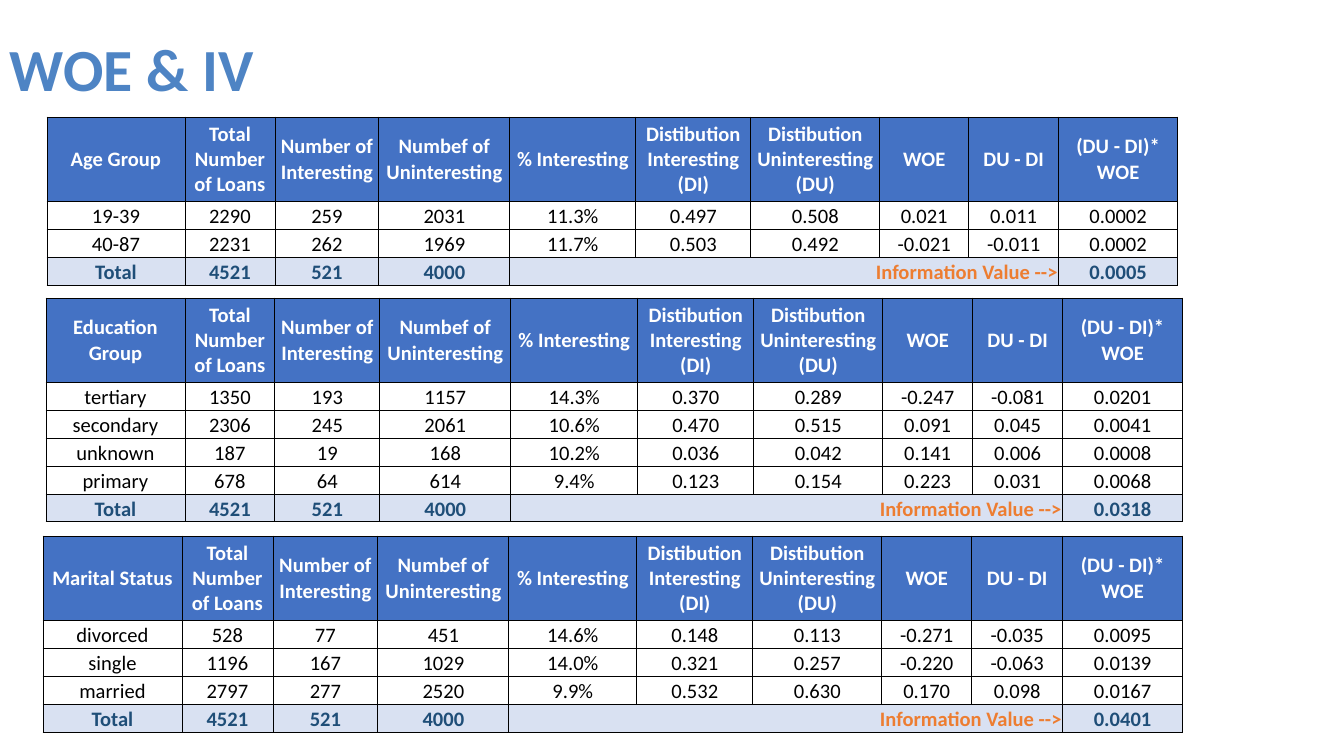
from itertools import accumulate

from lxml.etree import SubElement
from pptx import Presentation
from pptx.dml.color import RGBColor
from pptx.enum.text import MSO_ANCHOR, MSO_AUTO_SIZE, PP_ALIGN
from pptx.oxml.ns import qn
from pptx.util import Emu, Pt

FONT = "Calibri"
COLORS = {
    "title": "4E84C4",
    "header": "4472C4",
    "header_text": "FFFFFF",
    "value_text": "000000",
    "total": "D9E1F2",
    "total_text": "1F4E78",
    "information_value": "ED7D31",
    "border": "000000",
}
MEASURES = [
    "Total Number of Loans", "Number of Interesting", "Numbef of Uninteresting",
    "% Interesting", "Distibution Interesting (DI)",
    "Distibution Uninteresting (DU)", "WOE", "DU - DI", "(DU - DI)* WOE",
]
COLUMN_SHARES = [139, 90, 105, 131, 127, 116, 129, 90, 90, 120]
HEADER_HEIGHT, ROW_HEIGHT = 84, 28
TOTALS = ["Total", "4521", "521", "4000"]
FIRST_MERGED, LAST_MERGED = 4, 8

# grouping, left, top, width, rows, information value
GROUPINGS = [
    ("Age Group", 47, 117, 1131, [
        "19-39 2290 259 2031 11.3% 0.497 0.508 0.021 0.011 0.0002",
        "40-87 2231 262 1969 11.7% 0.503 0.492 -0.021 -0.011 0.0002",
    ], "0.0005"),
    ("Education Group", 46, 298, 1137, [
        "tertiary 1350 193 1157 14.3% 0.370 0.289 -0.247 -0.081 0.0201",
        "secondary 2306 245 2061 10.6% 0.470 0.515 0.091 0.045 0.0041",
        "unknown 187 19 168 10.2% 0.036 0.042 0.141 0.006 0.0008",
        "primary 678 64 614 9.4% 0.123 0.154 0.223 0.031 0.0068",
    ], "0.0318"),
    ("Marital Status", 43, 536, 1140, [
        "divorced 528 77 451 14.6% 0.148 0.113 -0.271 -0.035 0.0095",
        "single 1196 167 1029 14.0% 0.321 0.257 -0.220 -0.063 0.0139",
        "married 2797 277 2520 9.9% 0.532 0.630 0.170 0.098 0.0167",
    ], "0.0401"),
]


def px(length):
    return Emu(round(length * 914400 / 134.4))


def color(name):
    return RGBColor.from_string(COLORS[name])


def add_run(paragraph, text, size, color_name, bold):
    run = paragraph.add_run()
    run.text = text
    run.font.name = FONT
    run.font.size = Pt(size)
    run.font.bold = bold
    run.font.color.rgb = color(color_name)


def add_title(slide, text):
    title = slide.shapes.title
    title.left, title.top, title.width, title.height = px(0), px(32), px(1306), px(72)
    frame = title.text_frame
    frame.auto_size = MSO_AUTO_SIZE.NONE
    frame.vertical_anchor = MSO_ANCHOR.MIDDLE
    frame.margin_left = frame.margin_right = px(10)
    frame.margin_top = frame.margin_bottom = px(5)
    paragraph = frame.paragraphs[0]
    paragraph.alignment = PP_ALIGN.LEFT
    add_run(paragraph, text, 32, "title", True)


def add_borders(cell):
    properties = cell._tc.get_or_add_tcPr()
    for side in ("a:lnL", "a:lnR", "a:lnT", "a:lnB"):
        line = SubElement(properties, qn(side), w=str(Pt(0.5)))
        fill = SubElement(line, qn("a:solidFill"))
        SubElement(fill, qn("a:srgbClr"), val=COLORS["border"])


def format_cell(cell, fill=None, anchor=MSO_ANCHOR.BOTTOM):
    add_borders(cell)
    cell.margin_left = cell.margin_right = cell.margin_top = px(1)
    cell.margin_bottom = px(0)
    cell.vertical_anchor = anchor
    if fill:
        cell.fill.solid()
        cell.fill.fore_color.rgb = color(fill)
    else:
        cell.fill.background()


def write_cell(cell, text, color_name, bold=True, alignment=PP_ALIGN.CENTER):
    paragraph = cell.text_frame.paragraphs[0]
    paragraph.alignment = alignment
    add_run(paragraph, text, 11, color_name, bold)


def fill_header(table, grouping):
    for column, heading in enumerate([grouping] + MEASURES):
        cell = table.cell(0, column)
        format_cell(cell, "header", MSO_ANCHOR.MIDDLE)
        write_cell(cell, heading, "header_text")


def fill_total(table, row, information_value):
    for column in range(len(COLUMN_SHARES)):
        format_cell(table.cell(row, column), "total")
    for column, total in enumerate(TOTALS):
        write_cell(table.cell(row, column), total, "total_text")
    label = table.cell(row, FIRST_MERGED)
    label.merge(table.cell(row, LAST_MERGED))
    write_cell(label, "Information Value -->", "information_value",
               alignment=PP_ALIGN.RIGHT)
    write_cell(table.cell(row, LAST_MERGED + 1), information_value, "total_text")


def add_woe_table(slide, grouping, left, top, width, rows, information_value):
    heights = [HEADER_HEIGHT] + [ROW_HEIGHT] * (len(rows) + 1)
    table = slide.shapes.add_table(
        len(heights), len(COLUMN_SHARES),
        px(left), px(top), px(width), px(sum(heights))).table
    table.first_row = table.horz_banding = False

    edges = [round(width * share / sum(COLUMN_SHARES))
             for share in accumulate(COLUMN_SHARES, initial=0)]
    for column, start, end in zip(table.columns, edges, edges[1:]):
        column.width = px(end - start)
    for row, height in zip(table.rows, heights):
        row.height = px(height)

    fill_header(table, grouping)
    for row, values in enumerate(rows, start=1):
        for column, value in enumerate(values.split()):
            cell = table.cell(row, column)
            format_cell(cell)
            write_cell(cell, value, "value_text", bold=False)
    fill_total(table, len(rows) + 1, information_value)


def main():
    presentation = Presentation()
    presentation.slide_width, presentation.slide_height = px(1344), px(756)
    slide = presentation.slides.add_slide(presentation.slide_layouts[5])
    add_title(slide, "WOE & IV")
    for grouping in GROUPINGS:
        add_woe_table(slide, *grouping)
    presentation.save("out.pptx")


if __name__ == "__main__":
    main()
